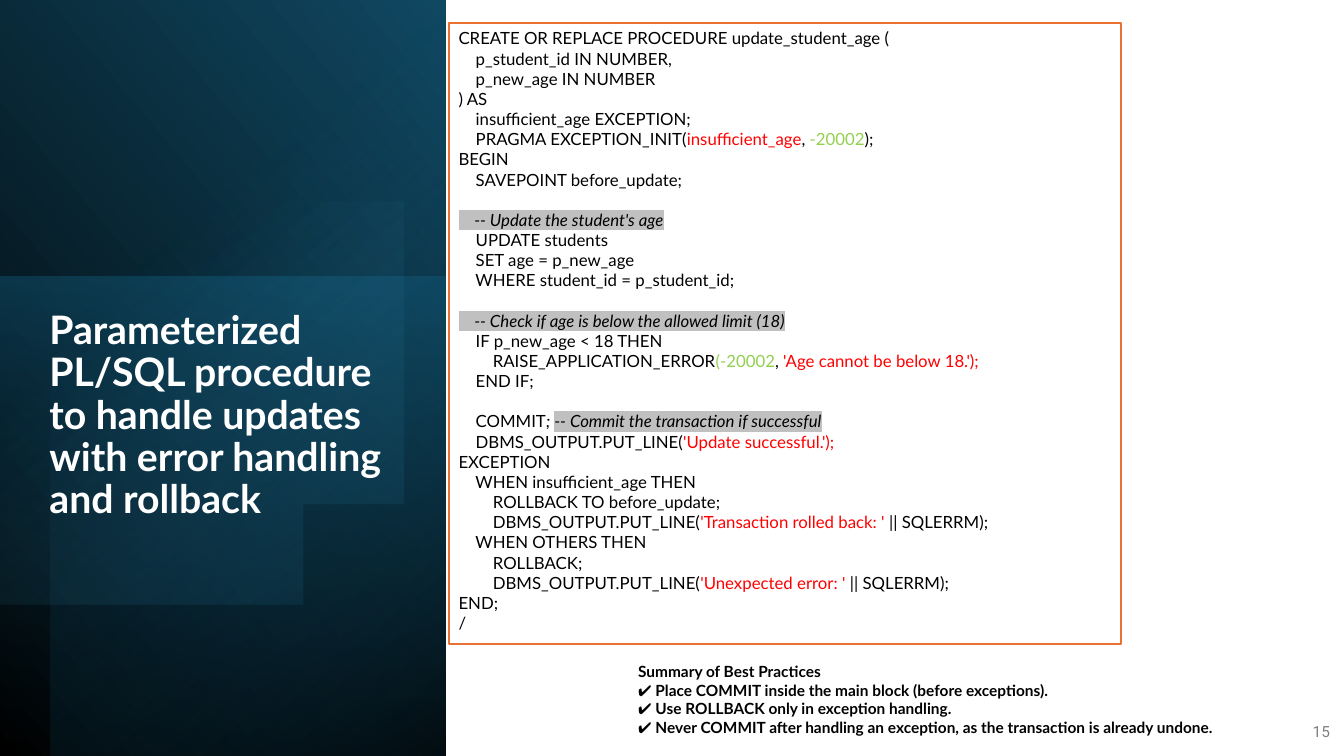
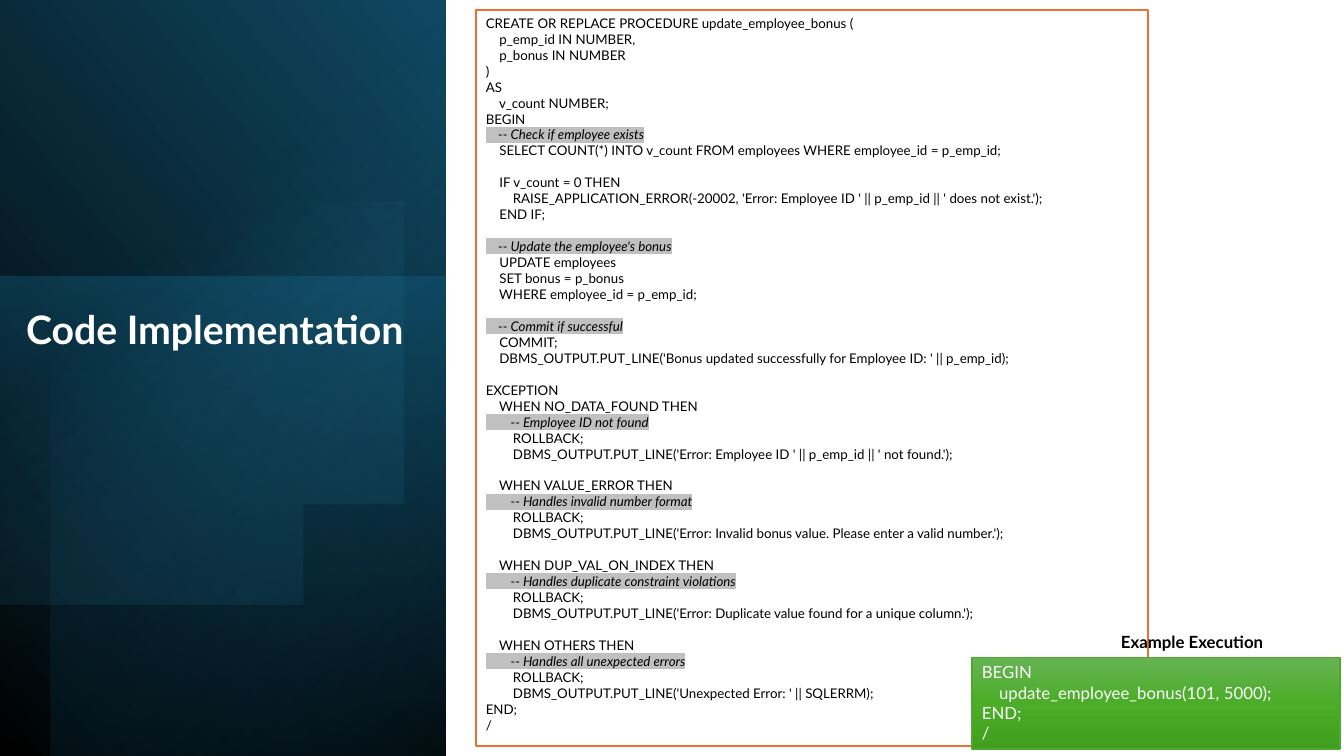
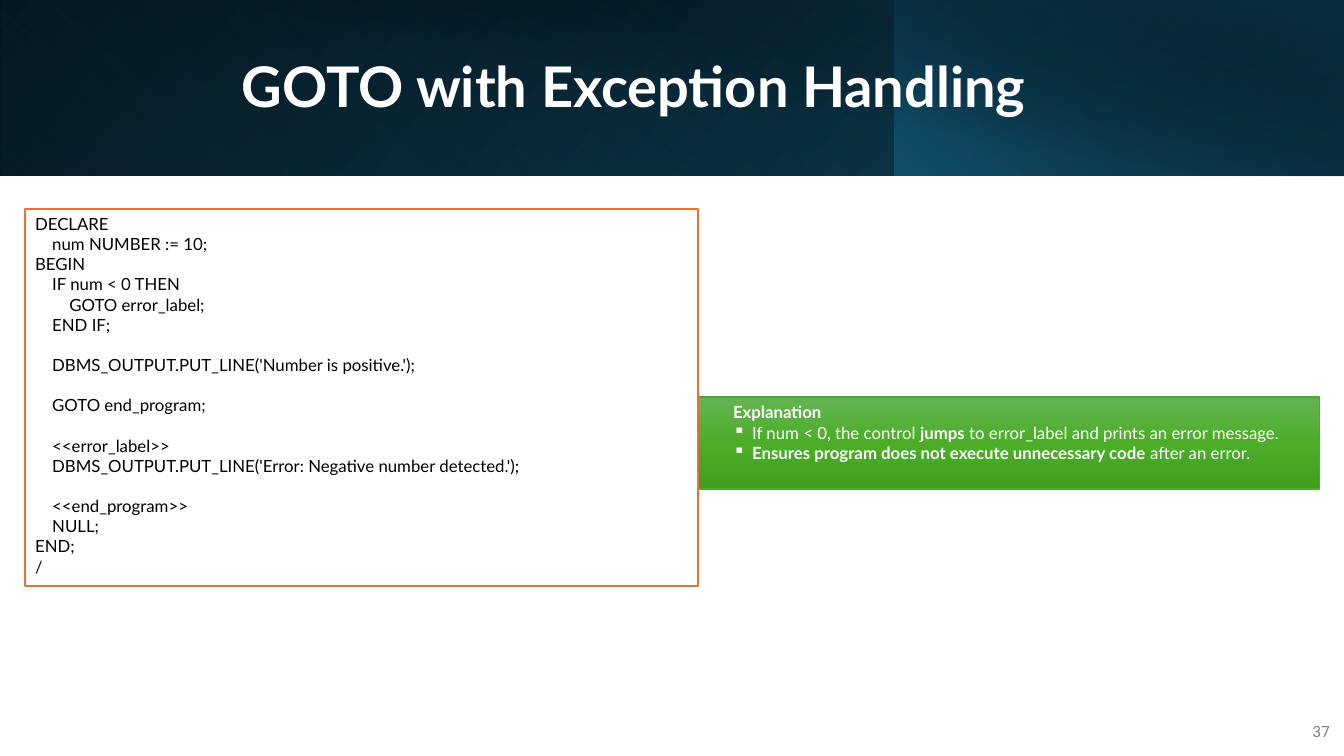
import math

import lxml.etree
import pptx
import pptx.dml.color
import pptx.enum.shapes
import pptx.enum.text
import pptx.oxml.ns
import pptx.util

Inches = pptx.util.Inches
Pt = pptx.util.Pt
RGBColor = pptx.dml.color.RGBColor
qn = pptx.oxml.ns.qn
RECTANGLE = pptx.enum.shapes.MSO_SHAPE.RECTANGLE
ALIGN = pptx.enum.text.PP_ALIGN
ANCHOR = pptx.enum.text.MSO_ANCHOR

BLACK = RGBColor(0x00, 0x00, 0x00)
WHITE = RGBColor(0xFF, 0xFF, 0xFF)
GREY = RGBColor(0x80, 0x80, 0x80)
SILVER = RGBColor(0xC0, 0xC0, 0xC0)
RED = RGBColor(0xFF, 0x00, 0x00)
LIME = RGBColor(0x92, 0xD0, 0x50)
ORANGE = RGBColor(0xE9, 0x71, 0x32)
GREEN = RGBColor(0x4E, 0xA7, 0x2E)
GREEN_LIGHT = RGBColor(0x66, 0xB3, 0x54)
GREEN_MIDDLE = RGBColor(0x4B, 0xAD, 0x28)
GREEN_DARK = RGBColor(0x40, 0x9F, 0x1E)
NAVY = RGBColor(0x0B, 0x30, 0x41)
DEEP_BLUE = RGBColor(0x10, 0x48, 0x62)
TEAL = RGBColor(0x15, 0x60, 0x82)
SKY = RGBColor(0x46, 0xB1, 0xE1)

FONT = "Lato"
NUMBER_FONT = "Roboto"
GREEN_STOPS = [(0, GREEN_LIGHT, 100), (50, GREEN_MIDDLE, 100), (100, GREEN_DARK, 100)]

# Panels: bounds, rotation, flipped, gradient stops (position, colour, opacity), angle
SIDE_PANELS = [
    ((-1.55, 1.55, 7.52, 4.42), 90, True,
     [(0, BLACK, 100), (100, DEEP_BLUE, 100)], 310),
    ((-0.17, 2.91, 4.76, 4.42), 270, False,
     [(0, TEAL, 50), (100, NAVY, 0)], 190),
    ((-1.29, 1.79, 7.5, 3.92), 270, True,
     [(0, BLACK, 59), (69, TEAL, 0)], 220),
]
TOP_PANELS = [
    ((0, 0, 13.33, 1.74), 0, True,
     [(0, BLACK, 100), (100, DEEP_BLUE, 100)], 140),
    ((0, 0, 8.88, 1.74), 180, True,
     [(20, TEAL, 0), (100, NAVY, 55)], 230),
    ((8.87, 0, 4.46, 1.74), 0, True,
     [(0, TEAL, 66), (100, BLACK, 30)], 220),
    ((0.5, 0, 12.83, 1.75), 0, False,
     [(50, BLACK, 0), (99, NAVY, 52)], 280),
]

# In all texts ~x...~ marks a span: r red, g lime, c comment, i italic, b bold
AGE_BODY = """CREATE OR REPLACE PROCEDURE update_student_age (
    p_student_id IN NUMBER,
    p_new_age IN NUMBER
) AS
    insufficient_age EXCEPTION;
    PRAGMA EXCEPTION_INIT(~rinsufficient_age~, ~g-20002~);
BEGIN
    SAVEPOINT before_update;

~c    -- Update the student's age~
    UPDATE students
    SET age = p_new_age
    WHERE student_id = p_student_id;

~c    -- Check if age is below the allowed limit (18)~
    IF p_new_age < 18 THEN
        RAISE_APPLICATION_ERROR~g(-20002~, ~r'Age cannot be below 18.');~
    END IF;

    COMMIT~i; ~~c-- Commit the transaction if successful~
    DBMS_OUTPUT.PUT_LINE(~r'Update successful.');~
"""

AGE_HANDLERS = """EXCEPTION
    WHEN insufficient_age THEN
        ROLLBACK TO before_update;
        DBMS_OUTPUT.PUT_LINE(~r'Transaction rolled back: ' ~|| SQLERRM);
    WHEN OTHERS THEN
        ROLLBACK;
        DBMS_OUTPUT.PUT_LINE(~r'Unexpected error: ' ~|| SQLERRM);
END;
/"""

BONUS_BODY = """CREATE OR REPLACE PROCEDURE update_employee_bonus (
    p_emp_id IN NUMBER,
    p_bonus IN NUMBER
)
AS
    v_count NUMBER;
BEGIN
~c    -- Check if employee exists~
    SELECT COUNT(*) INTO v_count FROM employees WHERE employee_id = p_emp_id;

    IF v_count = 0 THEN
        RAISE_APPLICATION_ERROR(-20002, 'Error: Employee ID ' || p_emp_id || ' does not exist.');
    END IF;

~c    -- Update the employee's bonus~
    UPDATE employees
    SET bonus = p_bonus
    WHERE employee_id = p_emp_id;

~c    -- Commit if successful~
    COMMIT;
    DBMS_OUTPUT.PUT_LINE('Bonus updated successfully for Employee ID: ' || p_emp_id);

"""

BONUS_HANDLERS = """EXCEPTION
    WHEN NO_DATA_FOUND THEN
~c        -- Employee ID not found~
        ROLLBACK;
        DBMS_OUTPUT.PUT_LINE('Error: Employee ID ' || p_emp_id || ' not found.');

    WHEN VALUE_ERROR THEN
~c        -- Handles invalid number format~
        ROLLBACK;
        DBMS_OUTPUT.PUT_LINE('Error: Invalid bonus value. Please enter a valid number.');

    WHEN DUP_VAL_ON_INDEX THEN
~c        -- Handles duplicate constraint violations~
        ROLLBACK;
        DBMS_OUTPUT.PUT_LINE('Error: Duplicate value found for a unique column.');

    WHEN OTHERS THEN
~c        -- Handles all unexpected errors~
        ROLLBACK;
        DBMS_OUTPUT.PUT_LINE('Unexpected Error: ' || SQLERRM);
END;
/"""

GOTO_CODE = """DECLARE
    num NUMBER := 10;
BEGIN
    IF num < 0 THEN
        GOTO error_label;
    END IF;

    DBMS_OUTPUT.PUT_LINE('Number is positive.');

    GOTO end_program;

    <<error_label>>
    DBMS_OUTPUT.PUT_LINE('Error: Negative number detected.');

    <<end_program>>
    NULL;
END;
/"""

EXECUTION_CODE = """BEGIN
    update_employee_bonus(101, 5000);
END;
/"""

EXPLANATION = """~bExplanation~
If num < 0, the control ~bjumps~ to error_label and prints an error message.
~bEnsures program does not execute unnecessary code~ after an error."""

BEST_PRACTICES = """~bSummary of Best Practices~
✔ ~bPlace COMMIT inside the main block (before exceptions).~
✔ ~bUse ROLLBACK only in exception handling.~
✔ ~bNever COMMIT after handling an exception, as the transaction is already undone.~"""


def set_gradient(shape, stops, angle):
    """Fill with (position, colour, opacity) stops; the angle runs clockwise."""
    shape.fill.gradient()
    shape.fill.gradient_angle = (360 - angle) % 360
    stop_list = shape._element.spPr.find(".//" + qn("a:gsLst"))
    for child in list(stop_list):
        stop_list.remove(child)
    for position, colour, opacity in stops:
        stop = lxml.etree.SubElement(stop_list, qn("a:gs"), pos=str(position * 1000))
        tint = lxml.etree.SubElement(stop, qn("a:srgbClr"), val=str(colour))
        if opacity < 100:
            lxml.etree.SubElement(tint, qn("a:alpha"), val=str(opacity * 1000))


def write_lines(frame, text, size, colour, font=FONT, align=ALIGN.LEFT):
    """Write one paragraph a line, turning ~x...~ marks into styled spans."""
    for index, line in enumerate(text.split("\n")):
        para = frame.paragraphs[0] if index == 0 else frame.add_paragraph()
        para.alignment = align
        para.font.name = font
        para.font.size = Pt(size)
        para.font.color.rgb = colour
        if not line:
            para._p.get_or_add_endParaRPr().set("sz", str(int(size * 100)))
        for position, piece in enumerate(line.split("~")):
            if not piece:
                continue
            span = para.add_run()
            if position % 2 == 0:
                span.text = piece
                continue
            mark, span.text = piece[0], piece[1:]
            if mark in "rg":
                span.font.color.rgb = RED if mark == "r" else LIME
            elif mark == "b":
                span.font.bold = True
            else:
                span.font.italic = True
            if mark == "c":
                highlight = lxml.etree.SubElement(span._r.get_or_add_rPr(), qn("a:highlight"))
                lxml.etree.SubElement(highlight, qn("a:srgbClr"), val=str(SILVER))


deck = pptx.Presentation()
deck.slide_width = Inches(13.33)
deck.slide_height = Inches(7.5)
title_only = deck.slide_layouts[5]
age_page, bonus_page, goto_page = [deck.slides.add_slide(title_only) for _ in range(3)]

# Backgrounds
for page, panels in [(age_page, SIDE_PANELS), (bonus_page, SIDE_PANELS), (goto_page, TOP_PANELS)]:
    for bounds, rotation, flipped, stops, angle in panels:
        panel = page.shapes.add_shape(RECTANGLE, *map(Inches, bounds))
        panel.shadow.inherit = False
        panel.line.fill.background()
        panel.rotation = rotation
        if flipped:
            panel._element.spPr.get_or_add_xfrm().set("flipH", "1")
        set_gradient(panel, stops, angle)

# Large disc, cut off by the left edge of the slide
CENTRE_X, CENTRE_Y, RADIUS = 1.43, 3.47, 2.62
disc_points = [
    (max(0, CENTRE_X + RADIUS * math.cos(math.radians(degree))),
     CENTRE_Y + RADIUS * math.sin(math.radians(degree)))
    for degree in range(-123, 124, 3)
]
for page in (age_page, bonus_page):
    builder = page.shapes.build_freeform(*disc_points[0], scale=Inches(1))
    builder.add_line_segments(disc_points[1:], close=True)
    disc = builder.convert_to_shape()
    disc.shadow.inherit = False
    disc.line.fill.background()
    set_gradient(disc, [(39, SKY, 0), (100, DEEP_BLUE, 26)], 52)

# Titles
for page, bounds, size, align, anchor, text in [
    (age_page, (0.39, 3.03, 3.8, 3.36), 28, ALIGN.LEFT, ANCHOR.TOP,
     "Parameterized PL/SQL procedure to handle updates with error handling and rollback"),
    (bonus_page, (0.16, 3.03, 4.22, 1.53), 28, ALIGN.LEFT, ANCHOR.TOP, "Code Implementation"),
    (goto_page, (0.25, 0.32, 12.07, 1.13), 40, ALIGN.CENTER, ANCHOR.MIDDLE,
     "GOTO with Exception Handling"),
]:
    title = page.shapes.title
    title.left, title.top, title.width, title.height = map(Inches, bounds)
    frame = title.text_frame
    frame.auto_size = pptx.enum.text.MSO_AUTO_SIZE.NONE
    frame.vertical_anchor = anchor
    write_lines(frame, text, size, WHITE, align=align)
    frame.paragraphs[0].font.bold = True
    frame.paragraphs[0].line_spacing = 0.9
    page.shapes._spTree.append(title._element)  # in front of the panels

# Page numbers
for page, number in [(age_page, "15"), (goto_page, "37")]:
    box = page.shapes.add_textbox(Inches(12.8), Inches(7.06), Inches(0.49), Inches(0.4))
    box.text_frame.word_wrap = True
    box.text_frame.vertical_anchor = ANCHOR.MIDDLE
    write_lines(box.text_frame, number, 11, GREY, NUMBER_FONT, ALIGN.RIGHT)
    box.text_frame.paragraphs[0].space_after = Pt(6)

# Code boxes (white) and call-outs (green), from back to front
for page, bounds, is_green, size, left_margin, text in [
    (age_page, (4.45, 0.23, 6.67, 6.16), False, 12, 0.1, AGE_BODY + AGE_HANDLERS),
    (bonus_page, (4.72, 0.1, 6.67, 7.3), False, 9.5, 0.1, BONUS_BODY + BONUS_HANDLERS),
    (bonus_page, (9.64, 6.52, 3.65, 0.91), True, 12, 0.1, EXECUTION_CODE),
    (goto_page, (5.67, 3.94, 7.42, 0.91), True, 12, 1.6, EXPLANATION),
    (goto_page, (0.25, 2.07, 6.67, 3.74), False, 12, 0.1, GOTO_CODE),
]:
    box = page.shapes.add_shape(RECTANGLE, *map(Inches, bounds))
    box.shadow.inherit = False
    if is_green:
        set_gradient(box, GREEN_STOPS, 90)
    else:
        box.fill.solid()
        box.fill.fore_color.rgb = WHITE
    box.line.color.rgb = GREEN if is_green else ORANGE
    box.line.width = Pt(1 if is_green else 1.5)
    frame = box.text_frame
    frame.word_wrap = True
    frame.vertical_anchor = ANCHOR.TOP
    frame.margin_left = Inches(left_margin)
    write_lines(frame, text, size, WHITE if is_green else BLACK)
    if text == EXPLANATION:
        for para in frame.paragraphs[1:]:
            properties = para._p.get_or_add_pPr()
            properties.set("marL", str(Inches(0.19)))
            properties.set("indent", str(-Inches(0.19)))
            bullet = lxml.etree.Element(qn("a:buChar"), char="▪")
            properties.insert(0, bullet)

# Plain text beside the code
for page, bounds, wrap, anchor, size, text in [
    (age_page, (6.23, 6.52, 6.68, 0.84), False, ANCHOR.MIDDLE, 11, BEST_PRACTICES),
    (bonus_page, (11.02, 6.22, 2.06, 0.3), True, ANCHOR.TOP, 12, "~bExample Execution~"),
]:
    box = page.shapes.add_textbox(*map(Inches, bounds))
    box.text_frame.word_wrap = wrap
    box.text_frame.vertical_anchor = anchor
    write_lines(box.text_frame, text, size, BLACK)

deck.save("out.pptx")
